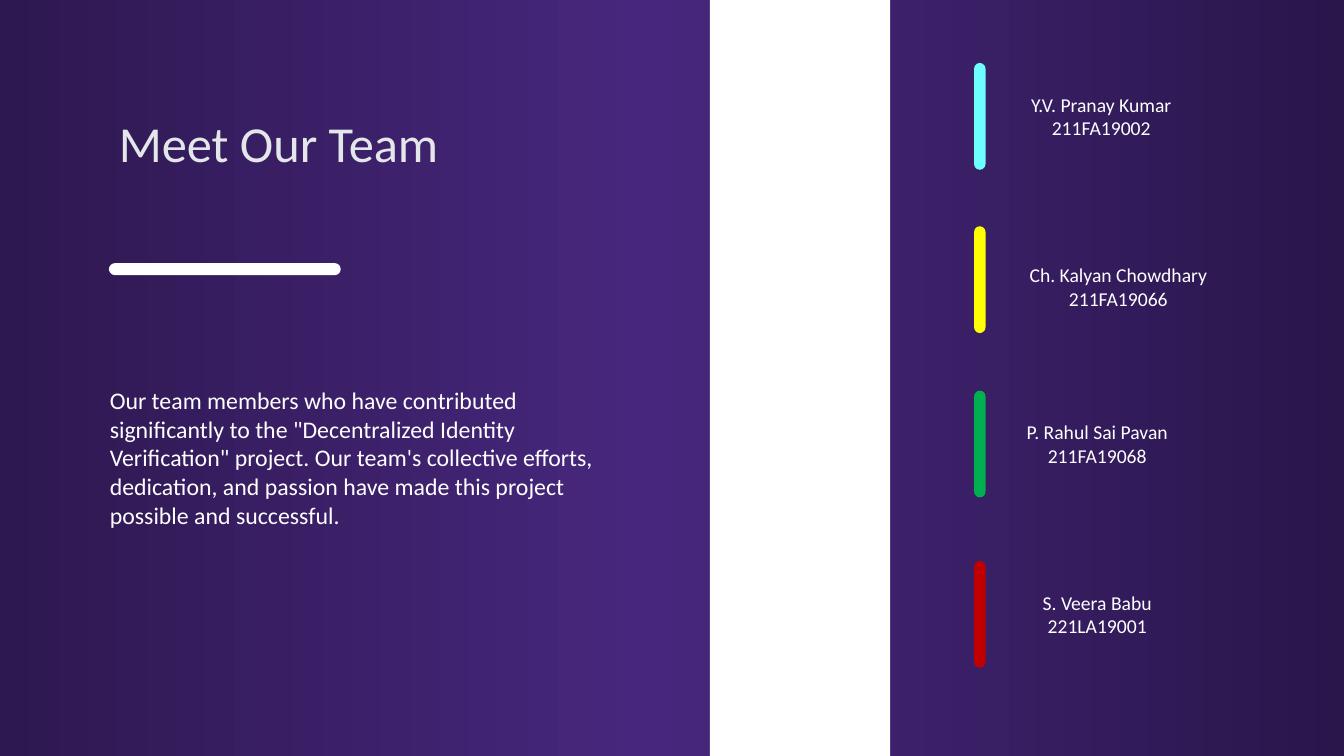
from copy import deepcopy
from pptx import Presentation
from pptx.dml.color import RGBColor as Rgb
from pptx.enum.shapes import MSO_SHAPE as Kind
from pptx.enum.text import MSO_AUTO_SIZE as Fit, PP_ALIGN as Align
from pptx.oxml.ns import qn
from pptx.util import Inches, Pt

TITLE = "Meet Our Team"
BODY = (
    "Our team members who have contributed significantly to the "
    '"Decentralized Identity Verification" project. Our team\'s collective '
    "efforts, dedication, and passion have made this project possible and "
    "successful."
)
TEAM = [
    ("Y.V. Pranay Kumar", "211FA19002", "6DFFFF", 8.33, 71.03, 11.6),
    ("Ch. Kalyan Chowdhary", "211FA19066", "FFFF00", 29.93, 72.3, 34.13),
    ("P. Rahul Sai Pavan", "211FA19068", "00B050", 51.67, 70.73, 54.93),
    ("S. Veera Babu", "221LA19001", "C00000", 74.2, 70.73, 77.47),
]
THEME = {
    "font": "Calibri",
    "white": "FFFFFF",
    "title": "E4E7E9",
    "back": [(0, "2E1851"), (0.48, "47277D"), (1, "2A164B")],
    "big": 36,
    "mid": 17,
    "small": 14,
}
STRIP = (52.81, 0, 13.42, 100)
HEAD = (8.1, 14.13, 27.08, 17.47)
RULE = (8.1, 34.8, 17.25, 1.6)
PROSE = (7.43, 50.4, 39.08, 20.4)
BAR_X, BAR_W, BAR_H = 72.48, 0.85, 14.13
NAME_W, NAME_H = 21.83, 7.6

deck = Presentation()
deck.slide_width, deck.slide_height = Inches(13.33), Inches(7.5)
slide = deck.slides.add_slide(deck.slide_layouts[6])


def place(box):
    sides = (deck.slide_width, deck.slide_height) * 2
    return [int(side * part / 100) for side, part in zip(sides, box)]


def paint(stops):
    fill = slide.background.fill
    fill.gradient()
    fill.gradient_angle = 0
    row = slide.element.find(".//" + qn("a:gsLst"))
    row.append(deepcopy(row[-1]))
    for stop, (spot, color) in zip(fill.gradient_stops, stops):
        stop.position = spot
        stop.color.rgb = Rgb.from_string(color)


def block(kind, box, color):
    shape = slide.shapes.add_shape(kind, *place(box))
    shape.shadow.inherit = False
    shape.fill.solid()
    shape.fill.fore_color.rgb = Rgb.from_string(color)
    shape.line.fill.background()
    if kind == Kind.ROUNDED_RECTANGLE:
        shape.adjustments[0] = 0.5


def write(text, box, size, color, align=Align.LEFT):
    frame = slide.shapes.add_textbox(*place(box)).text_frame
    frame.word_wrap = True
    frame.auto_size = Fit.SHAPE_TO_FIT_TEXT
    frame.text = text
    for para in frame.paragraphs:
        para.alignment = align
        for run in para.runs:
            run.font.name = THEME["font"]
            run.font.size = Pt(size)
            run.font.color.rgb = Rgb.from_string(color)


paint(THEME["back"])
block(Kind.RECTANGLE, STRIP, THEME["white"])
write(TITLE, HEAD, THEME["big"], THEME["title"])
block(Kind.ROUNDED_RECTANGLE, RULE, THEME["white"])
write(BODY, PROSE, THEME["mid"], THEME["white"])
for name, code, color, bar_y, left, top in TEAM:
    block(Kind.ROUNDED_RECTANGLE, (BAR_X, bar_y, BAR_W, BAR_H), color)
    write(f"{name}\n{code}", (left, top, NAME_W, NAME_H),
          THEME["small"], THEME["white"], Align.CENTER)

deck.save("out.pptx")
